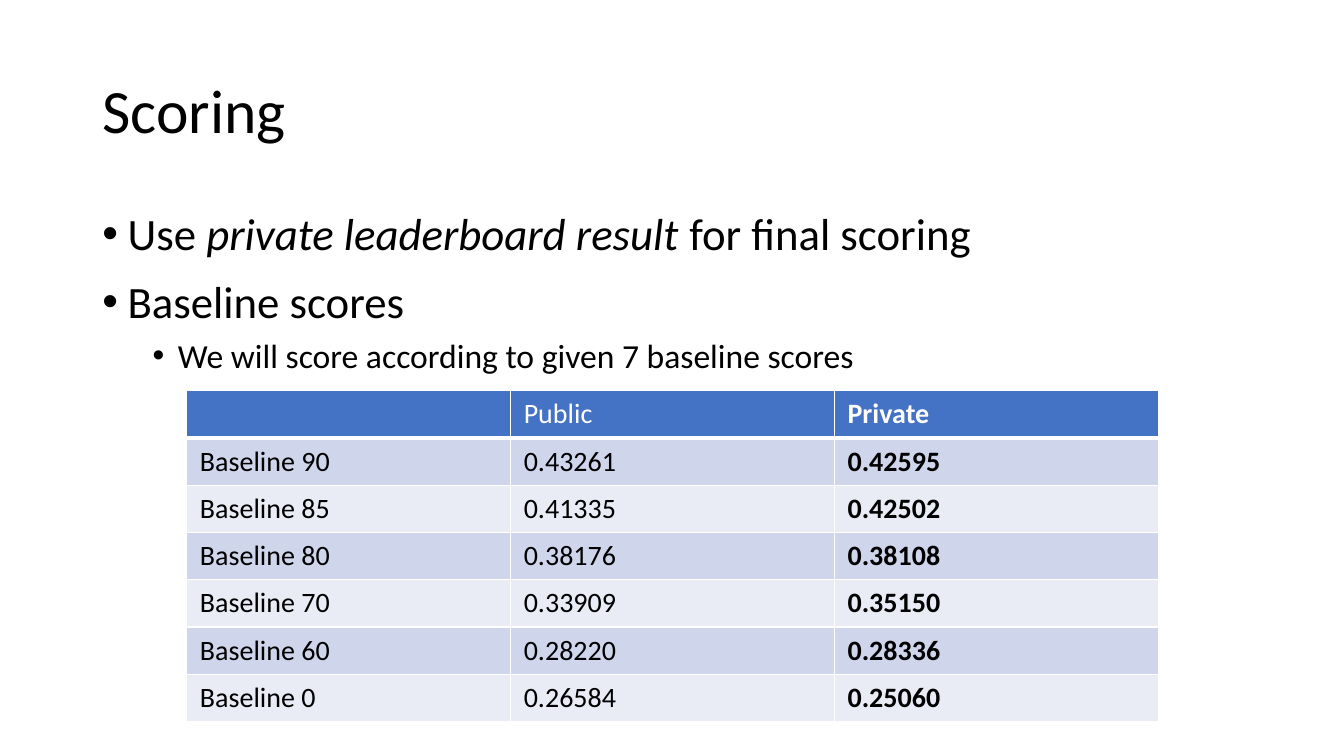
"""Build the Scoring slide: a title, bullets and a table of baseline scores."""
from lxml import etree
from pptx import Presentation
from pptx import util as u
from pptx.dml.color import RGBColor
from pptx.enum import text
from pptx.oxml import ns

BLACK = RGBColor(0x00, 0x00, 0x00)
WHITE = RGBColor(0xFF, 0xFF, 0xFF)
HEADER_BLUE = RGBColor(0x44, 0x72, 0xC4)
BAND_DARK = RGBColor(0xCF, 0xD5, 0xEA)
BAND_LIGHT = RGBColor(0xE9, 0xEB, 0xF5)

BULLETS = [
    (0, 32, 10, [("Use ", False), ("private leaderboard result ", True), ("for final scoring", False)]),
    (0, 32, 10, [("Baseline scores", False)]),
    (1, 24, 5, [("We will score according to given 7 baseline scores", False)]),
]
SCORES = [
    ("", "Public", "Private"),
    ("Baseline 90", "0.43261", "0.42595"),
    ("Baseline 85", "0.41335", "0.42502"),
    ("Baseline 80", "0.38176", "0.38108"),
    ("Baseline 70", "0.33909", "0.35150"),
    ("Baseline 60", "0.28220", "0.28336"),
    ("Baseline 0", "0.26584", "0.25060"),
]
CELL_MARGINS = {
    "margin_left": u.Cm(0.33), "margin_right": u.Cm(0.33),
    "margin_top": u.Cm(0.16), "margin_bottom": u.Cm(0.16),
}


def add_run(paragraph, wording, color, **formats):
    """Add a Calibri run with the given font formats."""
    run = paragraph.add_run()
    run.text = wording
    run.font.color.rgb = color
    for name, value in {"name": "Calibri", **formats}.items():
        setattr(run.font, name, value)


def add_border(cell, side, width):
    """Draw one white cell border ahead of the cell fill."""
    properties = cell._tc.get_or_add_tcPr()
    line = etree.Element(ns.qn(f"a:ln{side}"), w=str(u.Pt(width)))
    fill = etree.SubElement(line, ns.qn("a:solidFill"))
    etree.SubElement(fill, ns.qn("a:srgbClr"), val=str(WHITE))
    properties.insert("LRTB".index(side), line)


presentation = Presentation()
presentation.slide_width = u.Cm(33.87)
presentation.slide_height = u.Cm(19.05)
slide = presentation.slides.add_slide(presentation.slide_layouts[6])

title = slide.shapes.add_textbox(u.Cm(2.33), u.Cm(1.01), u.Cm(29.21), u.Cm(3.68)).text_frame
title.word_wrap = True
title.vertical_anchor = text.MSO_ANCHOR.MIDDLE
title.paragraphs[0].line_spacing = 0.9
add_run(title.paragraphs[0], "Scoring", BLACK, size=u.Pt(44))

body = slide.shapes.add_textbox(u.Cm(2.33), u.Cm(5.07), u.Cm(29.21), u.Cm(12.09)).text_frame
body.word_wrap = True
for index, (level, size, space_before, runs) in enumerate(BULLETS):
    paragraph = body.add_paragraph() if index else body.paragraphs[0]
    paragraph.level = level
    paragraph.space_before = u.Pt(space_before)
    properties = paragraph._p.get_or_add_pPr()
    properties.set("marL", str(u.Cm(0.635 + 1.27 * level)))
    properties.set("indent", str(u.Cm(-0.635)))
    etree.SubElement(properties, ns.qn("a:buFont"), typeface="Arial")
    etree.SubElement(properties, ns.qn("a:buChar"), char="•")
    for wording, italic in runs:
        add_run(paragraph, wording, BLACK, size=u.Pt(size), italic=italic)

table = slide.shapes.add_table(
    len(SCORES), 3, u.Cm(4.71), u.Cm(9.85), u.Cm(24.48), u.Cm(8.33)).table
for row_index, row in enumerate(SCORES):
    is_header = row_index == 0
    table.rows[row_index].height = u.Cm(1.19)
    band = HEADER_BLUE if is_header else (BAND_LIGHT, BAND_DARK)[row_index % 2]
    for column_index, wording in enumerate(row):
        cell = table.cell(row_index, column_index)
        for name, value in CELL_MARGINS.items():
            setattr(cell, name, value)
        cell.fill.solid()
        cell.fill.fore_color.rgb = band
        for side in "LRTB":
            heavy = (is_header and side == "B") or (row_index == 1 and side == "T")
            add_border(cell, side, 3 if heavy else 1)
        if wording:
            add_run(cell.text_frame.paragraphs[0], wording, WHITE if is_header else BLACK,
                    size=u.Pt(20), bold=column_index == 2)

presentation.save("out.pptx")
